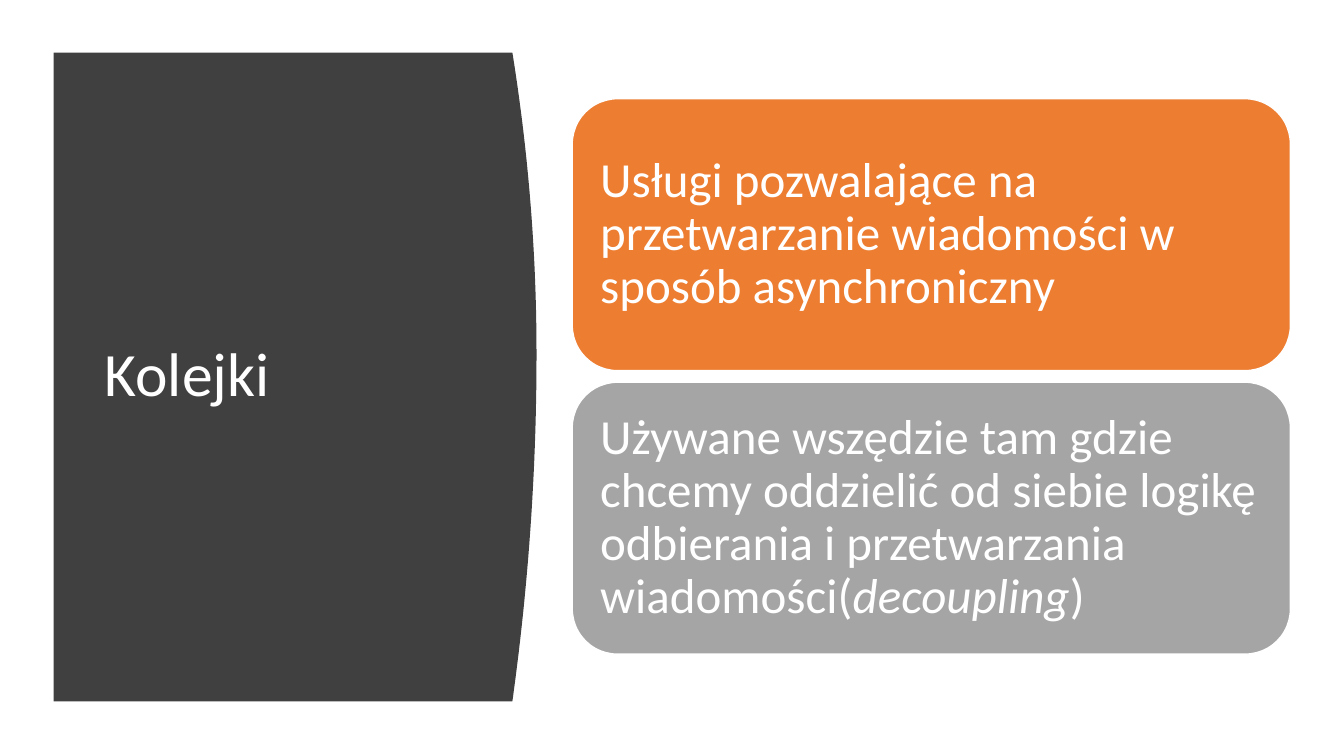
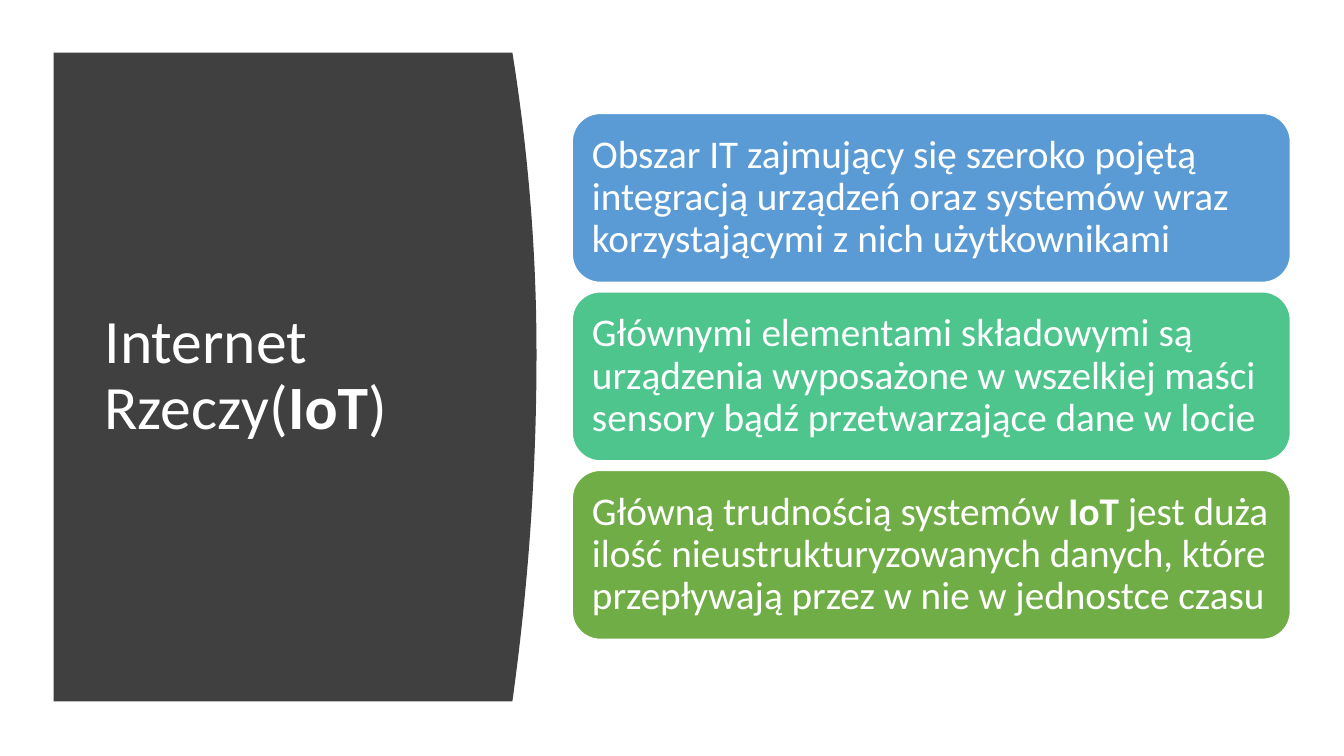
from pptx import Presentation
from pptx.dml.color import RGBColor
from pptx.enum.shapes import MSO_SHAPE
from pptx.enum.text import MSO_ANCHOR, MSO_AUTO_SIZE, PP_ALIGN
from pptx.util import Pt

EMU_PER_PX = 9525
WHITE = "FFFFFF"
CHARCOAL = "404040"
FONT = "Calibri"
PANEL_LEFT, PANEL_TOP, PANEL_BOTTOM = 51, 50, 668
PANEL_EDGE, PANEL_BULGE, APEX_Y = 488, 23, 337
CURVE_STEP = 6
CARD_LEFT, CARD_WIDTH = 545, 684
STACK_MIDDLE = 359


def px(length):
    return round(length * EMU_PER_PX)


def color(hex_value):
    return RGBColor.from_string(hex_value)


def write(frame, runs, size, inset=None):
    frame.word_wrap = True
    frame.auto_size = MSO_AUTO_SIZE.NONE
    frame.vertical_anchor = MSO_ANCHOR.MIDDLE
    if inset is not None:
        frame.margin_left = frame.margin_right = px(inset)
        frame.margin_top = frame.margin_bottom = px(inset)
    paragraph = frame.paragraphs[0]
    paragraph.alignment = PP_ALIGN.LEFT
    paragraph.line_spacing = 0.9
    paragraph.font.name = FONT
    paragraph.font.size = Pt(size)
    paragraph.font.color.rgb = color(WHITE)
    for text, style in runs:
        run = paragraph.add_run()
        run.text = text
        if style == "bold":
            run.font.bold = True
        elif style == "italic":
            run.font.italic = True


def edge_x(y):
    reach = APEX_Y - PANEL_TOP if y < APEX_Y else PANEL_BOTTOM - APEX_Y
    return PANEL_EDGE + PANEL_BULGE * (1 - ((y - APEX_Y) / reach) ** 2)


def add_panel(slide):
    builder = slide.shapes.build_freeform(px(PANEL_LEFT), px(PANEL_TOP))
    curve = [(px(edge_x(y)), px(y))
             for y in range(PANEL_TOP, PANEL_BOTTOM + 1, CURVE_STEP)]
    corner = (px(PANEL_LEFT), px(PANEL_BOTTOM))
    builder.add_line_segments(curve + [corner], close=True)
    panel = builder.convert_to_shape()
    panel.shadow.inherit = False
    panel.fill.solid()
    panel.fill.fore_color.rgb = color(CHARCOAL)
    panel.line.fill.background()
    slide.shapes.element.insert(2, panel.element)


def add_title(slide, runs):
    title = slide.shapes.title
    title.left, title.top = px(90), px(107)
    title.width, title.height = px(359), px(503)
    write(title.text_frame, runs, 44)


def add_card(slide, top, height, fill, runs, size, inset):
    card = slide.shapes.add_shape(
        MSO_SHAPE.ROUNDED_RECTANGLE,
        px(CARD_LEFT), px(top), px(CARD_WIDTH), px(height))
    card.shadow.inherit = False
    card.fill.solid()
    card.fill.fore_color.rgb = color(fill)
    card.line.color.rgb = color(WHITE)
    card.line.width = Pt(1)
    write(card.text_frame, runs, size, inset)


def add_topic(deck, title, cards, height, gap, size, inset):
    slide = deck.slides.add_slide(deck.slide_layouts.get_by_name("Title Only"))
    add_panel(slide)
    add_title(slide, title)
    pitch = height + gap
    first_top = STACK_MIDDLE - (len(cards) * pitch - gap + 1) // 2
    for index, (fill, runs) in enumerate(cards):
        add_card(slide, first_top + index * pitch, height, fill, runs, size, inset)


def main():
    deck = Presentation()
    deck.slide_width, deck.slide_height = px(1280), px(720)
    add_topic(deck, [("Kolejki", None)], [
        ("ED7D31", [("Usługi pozwalające na przetwarzanie wiadomości "
                     "w sposób asynchroniczny", None)]),
        ("A5A5A5", [("Używane wszędzie tam gdzie chcemy oddzielić od siebie "
                     "logikę odbierania i przetwarzania wiadomości(", None),
                    ("decoupling", "italic"), (")", None)]),
    ], height=259, gap=11, size=35, inset=14)
    add_topic(deck, [("Internet Rzeczy(", None), ("IoT", "bold"), (")", None)], [
        ("5B9BD5", [("Obszar IT zajmujący się szeroko pojętą integracją urządzeń "
                     "oraz systemów wraz korzystającymi z nich użytkownikami", None)]),
        ("4DC58D", [("Głównymi elementami składowymi są urządzenia wyposażone w "
                     "wszelkiej maści sensory bądź przetwarzające dane w locie", None)]),
        ("70AD47", [("Główną trudnością systemów ", None), ("IoT ", "bold"),
                    ("jest duża ilość nieustrukturyzowanych danych, które "
                     "przepływają przez w nie w jednostce czasu", None)]),
    ], height=161, gap=9, size=28, inset=11)
    deck.save("out.pptx")


if __name__ == "__main__":
    main()
